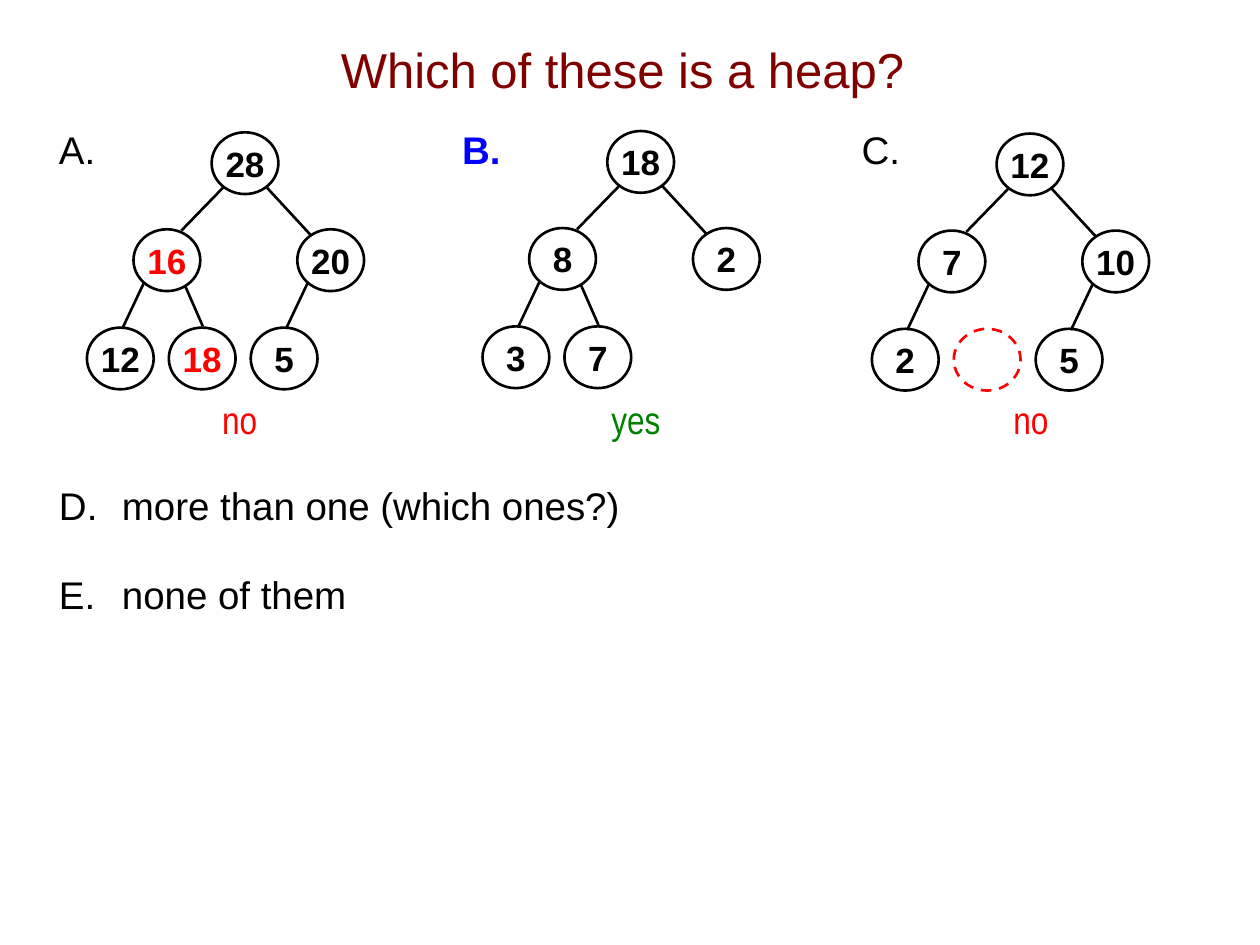
from dataclasses import dataclass

from lxml import etree
from pptx import Presentation
from pptx.dml.color import RGBColor
from pptx.enum.dml import MSO_LINE
from pptx.enum.shapes import MSO_CONNECTOR, MSO_SHAPE
from pptx.enum.text import MSO_ANCHOR, PP_ALIGN
from pptx.oxml.ns import qn
from pptx.util import Inches, Pt

STRAIGHT = MSO_CONNECTOR.STRAIGHT
OVAL = MSO_SHAPE.OVAL
DASH = MSO_LINE.DASH
MIDDLE = MSO_ANCHOR.MIDDLE
LEFT, CENTER, RIGHT = PP_ALIGN.LEFT, PP_ALIGN.CENTER, PP_ALIGN.RIGHT

BLACK = RGBColor(0x00, 0x00, 0x00)
RED = RGBColor(0xFF, 0x00, 0x00)
GREEN = RGBColor(0x00, 0x80, 0x00)
BLUE = RGBColor(0x00, 0x00, 0xFF)
MAROON = RGBColor(0x80, 0x00, 0x00)

NODE_WIDTH, NODE_HEIGHT = 0.53, 0.49
LINE_WIDTH = Pt(1.5)


@dataclass(frozen=True)
class Slot:
    """Node place and its parent edge, relative to the root's corner."""
    x: float
    y: float
    edge: tuple[float, float, float, float] | None = None


@dataclass(frozen=True)
class Node:
    """Key shown in one tree slot; an empty key marks a missing node."""
    slot: Slot
    key: str
    color: RGBColor = BLACK


@dataclass(frozen=True)
class Candidate:
    """One lettered tree with its verdict."""
    letter: str
    letter_left: float
    letter_color: RGBColor
    root_left: float
    root_top: float
    nodes: tuple[Node, ...]
    verdict: str
    verdict_left: float
    verdict_width: float
    verdict_color: RGBColor


ROOT = Slot(0, 0)
LEFT_CHILD = Slot(-0.62, 0.77, (0.09, 0.44, -0.24, 0.78))
RIGHT_CHILD = Slot(0.68, 0.77, (0.43, 0.43, 0.79, 0.82))
LEFT_LEFT = Slot(-0.99, 1.55, (-0.54, 1.2, -0.71, 1.56))
LEFT_RIGHT = Slot(-0.34, 1.55, (-0.21, 1.22, -0.07, 1.54))
RIGHT_LEFT = Slot(0.31, 1.55, (0.76, 1.2, 0.59, 1.56))

CANDIDATES = (
    Candidate("A.", 0.37, BLACK, 1.68, 1.05, (
        Node(ROOT, "28"), Node(LEFT_CHILD, "16", RED), Node(RIGHT_CHILD, "20"),
        Node(LEFT_LEFT, "12"), Node(LEFT_RIGHT, "18", RED), Node(RIGHT_LEFT, "5"),
    ), "no", 1.66, 0.48, RED),
    Candidate("B.", 3.57, BLUE, 4.82, 1.04, (
        Node(ROOT, "18"), Node(LEFT_CHILD, "8"), Node(RIGHT_CHILD, "2"),
        Node(LEFT_LEFT, "3"), Node(LEFT_RIGHT, "7"),
    ), "yes", 4.75, 0.59, GREEN),
    Candidate("C.", 6.74, BLACK, 7.91, 1.06, (
        Node(ROOT, "12"), Node(LEFT_CHILD, "7"), Node(RIGHT_CHILD, "10"),
        Node(LEFT_LEFT, "2"), Node(RIGHT_LEFT, "5"), Node(LEFT_RIGHT, "", RED),
    ), "no", 7.94, 0.48, RED),
)
OPTIONS = ("more than one (which ones?)", "none of them")


def style(paragraph, size: float, color: RGBColor, align=LEFT,
          bold: bool = False, face: str = "Arial") -> None:
    """Set the font and alignment of a paragraph."""
    paragraph.alignment = align
    paragraph.font.size = Pt(size)
    paragraph.font.name = face
    paragraph.font.bold = bold
    paragraph.font.color.rgb = color


def add_text(slide, left: float, top: float, width: float, height: float,
             text: str, size: float, color: RGBColor, wrap: bool = True, **look):
    """Add a one-paragraph text box and return its frame."""
    box = slide.shapes.add_textbox(
        Inches(left), Inches(top), Inches(width), Inches(height))
    frame = box.text_frame
    frame.word_wrap = wrap
    frame.text = text
    style(frame.paragraphs[0], size, color, **look)
    return frame


def add_edge(slide, root_left: float, root_top: float,
             edge: tuple[float, float, float, float]) -> None:
    """Draw the line from a parent to its child."""
    x1, y1, x2, y2 = edge
    branch = slide.shapes.add_connector(
        STRAIGHT, Inches(root_left + x1), Inches(root_top + y1),
        Inches(root_left + x2), Inches(root_top + y2))
    branch.line.color.rgb = BLACK
    branch.line.width = LINE_WIDTH
    etree.SubElement(branch.element.spPr, qn("a:effectLst"))


def add_node(slide, root_left: float, root_top: float, node: Node) -> None:
    """Draw one tree node, dashed where the node is missing."""
    circle = slide.shapes.add_shape(
        OVAL, Inches(root_left + node.slot.x), Inches(root_top + node.slot.y),
        Inches(NODE_WIDTH), Inches(NODE_HEIGHT))
    circle.shadow.inherit = False
    circle.fill.background()
    circle.line.width = LINE_WIDTH
    if not node.key:
        circle.line.color.rgb = node.color
        circle.line.dash_style = DASH
        return
    circle.line.color.rgb = BLACK
    frame = circle.text_frame
    frame.margin_left = frame.margin_right = Inches(0)
    frame.margin_top = frame.margin_bottom = Inches(0)
    frame.vertical_anchor = MIDDLE
    frame.word_wrap = False
    frame.text = node.key
    style(frame.paragraphs[0], 20, node.color, CENTER, bold=True)


def add_candidate(slide, tree: Candidate) -> None:
    """Draw a lettered tree and its verdict."""
    add_text(slide, tree.letter_left, 0.95, 0.6, 0.45, tree.letter, 22,
             tree.letter_color, bold=tree.letter_color == BLUE)
    for node in tree.nodes:
        if node.key and node.slot.edge:
            add_edge(slide, tree.root_left, tree.root_top, node.slot.edge)
        add_node(slide, tree.root_left, tree.root_top, node)
    add_text(slide, tree.verdict_left, 3.09, tree.verdict_width, 0.47,
             tree.verdict, 22, tree.verdict_color, wrap=False,
             align=RIGHT, face="Arial Narrow")


def add_options(slide, first_number: int) -> None:
    """Add the remaining answers as a lettered list."""
    frame = add_text(slide, 0.37, 3.78, 9.17, 1.15, OPTIONS[0], 22, BLACK)
    for option in OPTIONS[1:]:
        paragraph = frame.add_paragraph()
        paragraph.text = option
        paragraph.space_before = Pt(24)
        style(paragraph, 22, BLACK)
    for paragraph in frame.paragraphs:
        properties = paragraph._p.get_or_add_pPr()
        properties.set("marL", str(Inches(0.5)))
        properties.set("indent", str(Inches(-0.5)))
        numbering = etree.Element(
            qn("a:buAutoNum"), type="alphaUcPeriod", startAt=str(first_number))
        properties.find(qn("a:defRPr")).addprevious(numbering)


def main() -> None:
    """Build the heap quiz slide."""
    deck = Presentation()
    deck.slide_width, deck.slide_height = Inches(10), Inches(7.5)
    slide = deck.slides.add_slide(deck.slide_layouts[6])
    title = add_text(slide, 0.64, 0.08, 8.6, 0.93, "Which of these is a heap?",
                     28, MAROON, align=CENTER)
    title.vertical_anchor = MIDDLE
    for tree in CANDIDATES:
        add_candidate(slide, tree)
    add_options(slide, len(CANDIDATES) + 1)
    deck.save("out.pptx")


if __name__ == "__main__":
    main()
